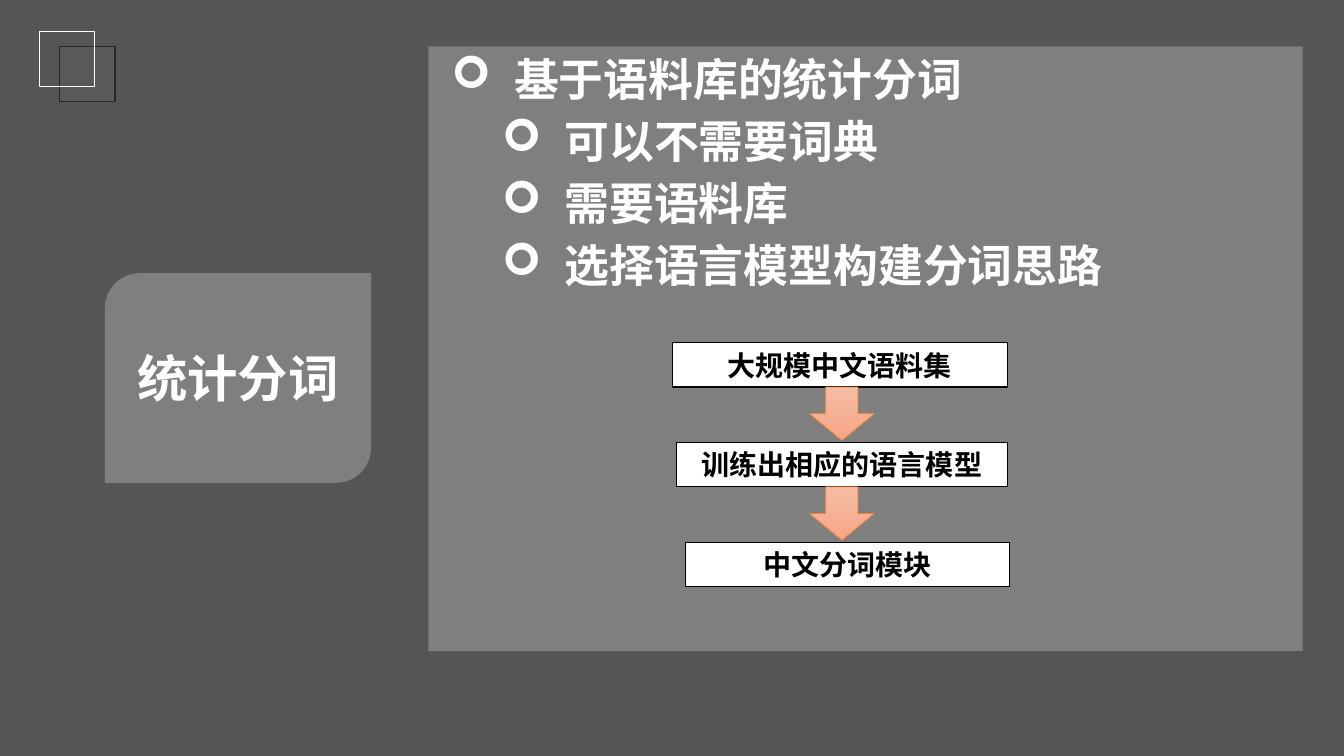
from dataclasses import dataclass

from lxml import etree
from pptx import Presentation
from pptx.dml.color import RGBColor
from pptx.enum.shapes import MSO_SHAPE
from pptx.enum.text import MSO_ANCHOR, PP_ALIGN
from pptx.oxml.ns import qn
from pptx.util import Inches, Pt

RECTANGLE = MSO_SHAPE.RECTANGLE
ROUND_DIAGONAL = MSO_SHAPE.ROUND_2_DIAG_RECTANGLE
DOWN_ARROW = MSO_SHAPE.DOWN_ARROW
CENTER = PP_ALIGN.CENTER
MIDDLE = MSO_ANCHOR.MIDDLE


@dataclass(frozen=True)
class Theme:
    white: str = "FFFFFF"
    black: str = "000000"
    backdrop: str = "0D0D0D"
    square_fill: str = "595959"
    square_line: str = "262626"
    arrow_line: str = "ED7D31"
    arrow_gradient: tuple = ((0, "F7BDA5"), (50, "F5B196"), (100, "F8A582"))
    heading_font: str = "Noto Sans CJK SC"
    step_font: str = "Calibri"
    title_size: int = 36
    bullet_size: int = 32
    step_size: int = 20


class SlideBuilder:
    def __init__(self, page, theme):
        self.page = page
        self.theme = theme

    def shape(self, kind, place, fill=None, opacity=100, line=None, width=1):
        """Add a preset shape; place is left, top, width, height in inches."""
        box = self.page.shapes.add_shape(kind, *map(Inches, place))
        box.shadow.inherit = False
        if fill:
            box.fill.solid()
            box.fill.fore_color.rgb = RGBColor.from_string(fill)
            if opacity < 100:
                color = box.fill._xPr.find(qn("a:solidFill"))[0]
                etree.SubElement(color, qn("a:alpha"), val=str(opacity * 1000))
        else:
            box.fill.background()
        if line:
            box.line.color.rgb = RGBColor.from_string(line)
            box.line.width = Pt(width)
        else:
            box.line.fill.background()
        return box

    def style(self, para, font, size, color):
        for span in para.runs:
            span.font.name = font
            span.font.size = Pt(size)
            span.font.bold = True
            span.font.color.rgb = RGBColor.from_string(color)

    def title(self, text, place):
        box = self.page.shapes.add_textbox(*map(Inches, place))
        frame = box.text_frame
        frame.word_wrap = False
        frame.vertical_anchor = MIDDLE
        frame.text = text
        para = frame.paragraphs[0]
        para.alignment = CENTER
        self.style(para, self.theme.heading_font, self.theme.title_size, self.theme.white)

    def bullets(self, items, place):
        """Add a bulleted list of (level, text) items."""
        box = self.page.shapes.add_textbox(*map(Inches, place))
        frame = box.text_frame
        frame.word_wrap = True
        frame.text = "\n".join(text for _, text in items)
        for index, (para, (level, _)) in enumerate(zip(frame.paragraphs, items)):
            para.level = level
            para.space_before = Pt(6 if index else 0)
            properties = para._p.get_or_add_pPr()
            properties.set("marL", str(Inches(0.62 + 0.5 * level)))
            properties.set("indent", str(Inches(-0.62)))
            etree.SubElement(properties, qn("a:buFont"), typeface="Wingdings")
            etree.SubElement(properties, qn("a:buChar"), char="➢")
            self.style(para, self.theme.heading_font, self.theme.bullet_size, self.theme.white)

    def step(self, text, place):
        theme = self.theme
        box = self.shape(RECTANGLE, place, theme.white, line=theme.black, width=0.75)
        frame = box.text_frame
        frame.word_wrap = True
        frame.vertical_anchor = MIDDLE
        frame.text = text
        para = frame.paragraphs[0]
        para.alignment = CENTER
        self.style(para, theme.step_font, theme.step_size, theme.black)

    def arrow(self, place):
        box = self.shape(DOWN_ARROW, place, line=self.theme.arrow_line, width=0.5)
        box.fill.gradient()
        box.fill.gradient_angle = 270
        stops = box.fill._xPr.find(qn("a:gradFill")).find(qn("a:gsLst"))
        for stop in list(stops):
            stops.remove(stop)
        for position, color in self.theme.arrow_gradient:
            stop = etree.SubElement(stops, qn("a:gs"), pos=str(position * 1000))
            etree.SubElement(stop, qn("a:srgbClr"), val=color)


def main():
    deck = Presentation()
    deck.slide_width, deck.slide_height = Inches(13.33), Inches(7.5)
    theme = Theme()
    page = deck.slides.add_slide(deck.slide_layouts[6])
    builder = SlideBuilder(page, theme)

    # Backdrop and corner squares
    builder.shape(RECTANGLE, (0, 0, 13.33, 7.5), theme.backdrop, opacity=70)
    builder.shape(RECTANGLE, (0.59, 0.46, 0.55, 0.55), theme.square_fill, line=theme.square_line)
    builder.shape(RECTANGLE, (0.39, 0.31, 0.55, 0.55), line=theme.white)

    # Title card
    builder.shape(ROUND_DIAGONAL, (1.04, 2.71, 2.64, 2.08), theme.white, opacity=25)
    builder.title("统计分词", (1.05, 3.38, 2.62, 0.72))

    # Content panel
    builder.shape(RECTANGLE, (4.25, 0.46, 8.67, 6), theme.white, opacity=25)
    builder.bullets([
        (0, "基于语料库的统计分词"),
        (1, "可以不需要词典"),
        (1, "需要语料库"),
        (1, "选择语言模型构建分词思路"),
    ], (4.38, 0.46, 8.37, 6))

    # Flow from corpus to segmentation module
    steps = [
        ("大规模中文语料集", 6.67, 3.32),
        ("训练出相应的语言模型", 6.71, 3.28),
        ("中文分词模块", 6.8, 3.21),
    ]
    pitch = 0.99
    for index, (text, left, width) in enumerate(steps):
        builder.step(text, (left, 3.4 + pitch * index, width, 0.44))
    for index in range(len(steps) - 1):
        builder.arrow((8.03, 3.84 + pitch * index, 0.64, 0.53))

    deck.save("out.pptx")


if __name__ == "__main__":
    main()
